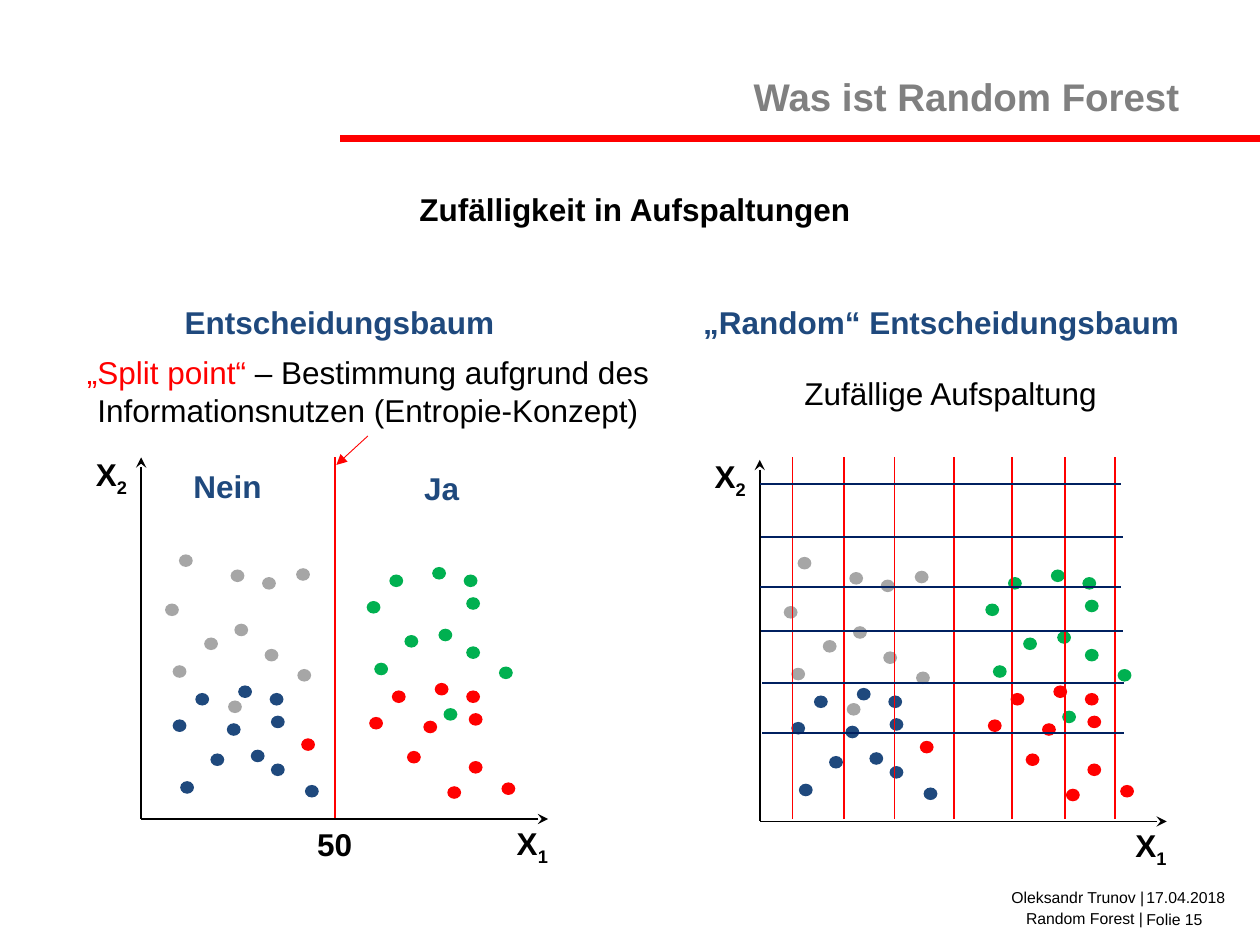
from lxml.etree import SubElement
from pptx import Presentation
from pptx.dml.color import RGBColor
from pptx.enum.shapes import MSO_CONNECTOR as CONNECTOR, MSO_SHAPE as SHAPE
from pptx.enum.text import MSO_ANCHOR as ANCHOR, MSO_AUTO_SIZE as AUTO_SIZE, PP_ALIGN as ALIGN
from pptx.oxml.ns import qn
from pptx.util import Inches, Pt

BLACK = RGBColor(0x00, 0x00, 0x00)
TITLE_GREY = RGBColor(0x80, 0x80, 0x80)
RED = RGBColor(0xFF, 0x00, 0x00)
GREEN = RGBColor(0x00, 0xB0, 0x50)
BLUE = RGBColor(0x1F, 0x49, 0x7D)
NAVY = RGBColor(0x00, 0x20, 0x60)
GREY = RGBColor(0xA6, 0xA6, 0xA6)

prs = Presentation()
prs.slide_width, prs.slide_height = Inches(10), Inches(7.5)
slide = prs.slides.add_slide(prs.slide_layouts[5])


def add_text(text, left, top, width, height=0.4, color=BLACK, size=18,
             bold=True, align=ALIGN.CENTER, anchor=ANCHOR.TOP):
    box = slide.shapes.add_textbox(Inches(left), Inches(top), Inches(width), Inches(height))
    frame = box.text_frame
    frame.word_wrap = True
    frame.vertical_anchor = anchor
    paragraph = frame.paragraphs[0]
    paragraph.add_run().text = text
    paragraph.alignment = align
    font = paragraph.font
    font.name, font.size, font.bold = "Arial", Pt(size), bold
    font.color.rgb = color
    return paragraph


def add_line(x1, y1, x2, y2, color, width=1, arrow_end=None, arrow="stealth"):
    line = slide.shapes.add_connector(
        CONNECTOR.STRAIGHT, Inches(x1), Inches(y1), Inches(x2), Inches(y2))
    line.line.color.rgb = color
    line.line.width = Pt(width)
    if arrow_end:
        SubElement(line.line._get_or_add_ln(), qn(f"a:{arrow_end}"), type=arrow)
    SubElement(line._element.spPr, qn("a:effectLst"))


title = slide.shapes.title
title.left, title.top, title.width, title.height = (
    Inches(5.41), Inches(0.53), Inches(4.05), Inches(0.65))
title.text_frame.text = "Was ist Random Forest"
title.text_frame.auto_size = AUTO_SIZE.NONE
title.text_frame.vertical_anchor = ANCHOR.TOP
heading = title.text_frame.paragraphs[0]
heading.alignment = ALIGN.RIGHT
heading.font.name, heading.font.size, heading.font.bold = "Arial", Pt(22), True
heading.font.color.rgb = TITLE_GREY
add_line(2.7, 1.1, 10, 1.1, RED, 4)

for text, left, top, width, align, anchor in [
    ("17.04.2018", 9, 7, 0.92, ALIGN.LEFT, ANCHOR.TOP),
    ("Oleksandr Trunov |", 7.71, 7, 1.47, ALIGN.RIGHT, ANCHOR.TOP),
    ("Random Forest |", 5.17, 7.19, 4, ALIGN.RIGHT, ANCHOR.MIDDLE),
    ("Folie 15", 9, 7.17, 0.92, ALIGN.LEFT, ANCHOR.TOP),
]:
    add_text(text, left, top, width, 0.2, size=9, bold=False, align=align, anchor=anchor)

add_text("Zufälligkeit in Aufspaltungen", 3.16, 1.46, 3.76)
add_text("Entscheidungsbaum", 1.01, 2.36, 3.37, color=BLUE)
add_text("„Random“ Entscheidungsbaum", 5.41, 2.36, 4.12, color=BLUE)
add_text("Zufällige Aufspaltung", 5.56, 2.92, 3.97, bold=False)
split_point = add_text("„Split point“ ", 0.34, 2.75, 5.16, 0.71, bold=False)
split_point.runs[0].font.color.rgb = RED
split_point.add_run().text = "– Bestimmung aufgrund des Informationsnutzen (Entropie-Konzept)"

add_line(2.66, 6.5, 2.66, 3.63, RED)
add_line(2.92, 3.46, 2.67, 3.69, RED, 0.5, "tailEnd", "triangle")
add_text("50", 2.16, 6.5, 0.99)
add_text("Ja", 3.01, 3.67, 0.99, color=BLUE)
add_text("Nein", 1.31, 3.66, 0.99, color=BLUE)

observations = {
    RED: [(3.45, 5.42), (3.72, 5.66), (3.7, 5.48), (3.36, 5.72), (3.98, 6.21), (3.72, 6.04),
          (2.93, 5.69), (3.11, 5.48), (3.23, 5.96), (3.55, 6.24), (2.39, 5.86)],
    GREEN: [(3.43, 4.5), (3.7, 4.74), (3.68, 4.56), (3.52, 5.62), (3.48, 4.99), (3.96, 5.29),
            (3.7, 5.13), (2.91, 4.77), (3.09, 4.56), (3.21, 5.04), (2.97, 5.26)],
    BLUE: [(1.89, 5.44), (2.15, 5.68), (2.14, 5.5), (1.99, 5.95), (1.8, 5.74), (2.42, 6.23),
           (2.15, 6.06), (1.37, 5.71), (1.55, 5.5), (1.67, 5.98), (1.43, 6.2)],
    GREY: [(1.83, 4.52), (2.35, 4.51), (2.08, 4.58), (1.81, 5.56), (1.86, 4.95), (2.36, 5.31),
           (2.1, 5.15), (1.31, 4.79), (1.42, 4.4), (1.62, 5.06), (1.37, 5.28)],
}
for dx, dy in [(0, 0), (4.91, 0.02)]:
    add_line(1.12 + dx, 3.63 + dy, 1.12 + dx, 6.5 + dy, BLACK, arrow_end="headEnd")
    add_line(4.35 + dx, 6.5 + dy, 1.12 + dx, 6.5 + dy, BLACK, arrow_end="headEnd")
    for color, points in observations.items():
        for x, y in points:
            dot = slide.shapes.add_shape(
                SHAPE.OVAL, Inches(x + dx), Inches(y + dy), Inches(0.11), Inches(0.1))
            dot.shadow.inherit = False
            dot.fill.solid()
            dot.fill.fore_color.rgb = color
            dot.line.fill.background()
    for index, left, top in [("1", 3.68, 6.49), ("2", 0.34, 3.56)]:
        subscript = add_text("X", left + dx, top + dy, 1.09).add_run()
        subscript.text = index
        subscript.font._element.set("baseline", "-25000")

for x in [6.29, 6.7, 7.1, 7.57, 8.03, 8.45, 8.85]:
    add_line(x, 6.5, x, 3.63, RED)
for x, y in [(6.03, 3.84), (6.04, 4.26), (6.03, 4.66), (6.04, 5.01), (6.05, 5.42), (6.05, 5.82)]:
    add_line(x, y, x + 2.87, y, NAVY)

prs.save("out.pptx")
